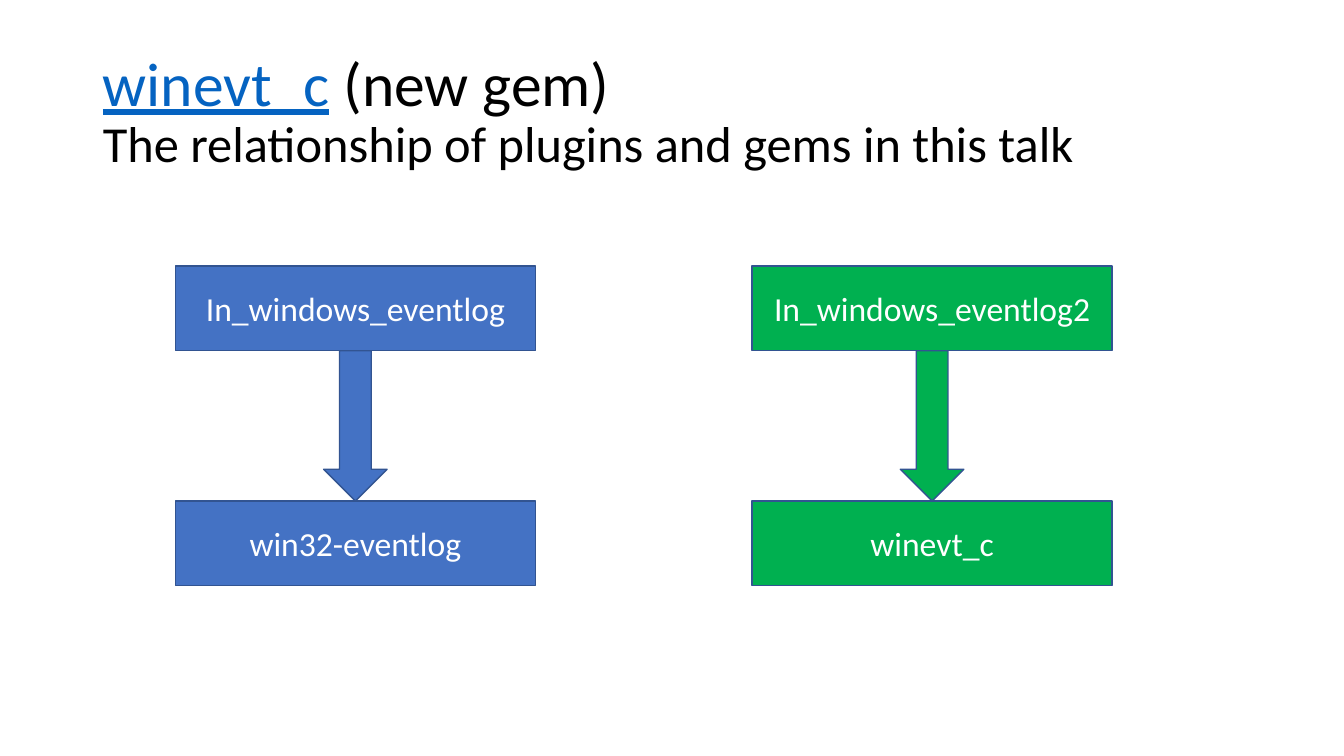
import pptx
import pptx.util
import pptx.dml.color
import pptx.enum.shapes
import pptx.enum.text

INCH = pptx.util.Inches
SHAPE = pptx.enum.shapes.MSO_SHAPE
ALIGN = pptx.enum.text.PP_ALIGN
MIDDLE = pptx.enum.text.MSO_ANCHOR.MIDDLE

HUES = {"link": "0563C1", "text": "000000", "blue": "4472C4",
        "green": "00B050", "edge": "325491", "white": "FFFFFF"}

# Grid: one column per plugin, one row per layer
LEFT, COL = 1.74, 5.72
TOP, ROW = 2.64, 2.33
WIDE, HIGH = 3.57, 0.84
SHAFT = 0.63

STACKS = [
    ("blue", ["In_windows_eventlog", "win32-eventlog"]),
    ("green", ["In_windows_eventlog2", "winevt_c"]),
]


def color(name):
    return pptx.dml.color.RGBColor.from_string(HUES[name])


def apply(item, values):
    for name, value in values.items():
        setattr(item, name, value)


def add_run(para, text, size, hue, **extra):
    run = para.add_run()
    run.text = text
    apply(run.font, {"name": "Calibri", "size": pptx.util.Pt(size), **extra})
    run.font.color.rgb = color(hue)


def add_title(slide):
    title = slide.shapes.title
    apply(title, {"left": INCH(0.92), "top": INCH(0.4),
                  "width": INCH(11.5), "height": INCH(1.45)})
    frame = title.text_frame
    apply(frame, {"word_wrap": True, "vertical_anchor": MIDDLE,
                  "auto_size": pptx.enum.text.MSO_AUTO_SIZE.NONE})
    para = frame.paragraphs[0]
    apply(para, {"alignment": ALIGN.LEFT, "line_spacing": 0.9})
    add_run(para, "winevt_c", 44, "link", underline=True)
    add_run(para, " (new gem)", 44, "text")
    para.add_line_break()
    add_run(para, "The relationship of plugins and gems in this talk", 36, "text")


def add_block(slide, kind, hue, left, top, width, height):
    block = slide.shapes.add_shape(
        kind, INCH(left), INCH(top), INCH(width), INCH(height))
    block.shadow.inherit = False
    block.fill.solid()
    block.fill.fore_color.rgb = color(hue)
    block.line.color.rgb = color("edge")
    block.line.width = pptx.util.Pt(1)
    return block


def add_box(slide, text, hue, left, top):
    box = add_block(slide, SHAPE.RECTANGLE, hue, left, top, WIDE, HIGH)
    apply(box.text_frame, {"word_wrap": True, "vertical_anchor": MIDDLE})
    para = box.text_frame.paragraphs[0]
    para.alignment = ALIGN.CENTER
    add_run(para, text, 24, "white")


def add_stack(slide, col, hue, names):
    left = LEFT + col * COL
    for row, name in enumerate(names):
        add_box(slide, name, hue, left, TOP + row * ROW)
    # Arrow fills the gap between the two boxes
    add_block(slide, SHAPE.DOWN_ARROW, hue, left + (WIDE - SHAFT) / 2,
              TOP + HIGH, SHAFT, ROW - HIGH)


def main():
    deck = pptx.Presentation()
    apply(deck, {"slide_width": INCH(13.33), "slide_height": INCH(7.5)})
    slide = deck.slides.add_slide(deck.slide_layouts.get_by_name("Title Only"))
    add_title(slide)
    for col, (hue, names) in enumerate(STACKS):
        add_stack(slide, col, hue, names)
    deck.save("out.pptx")


if __name__ == "__main__":
    main()
